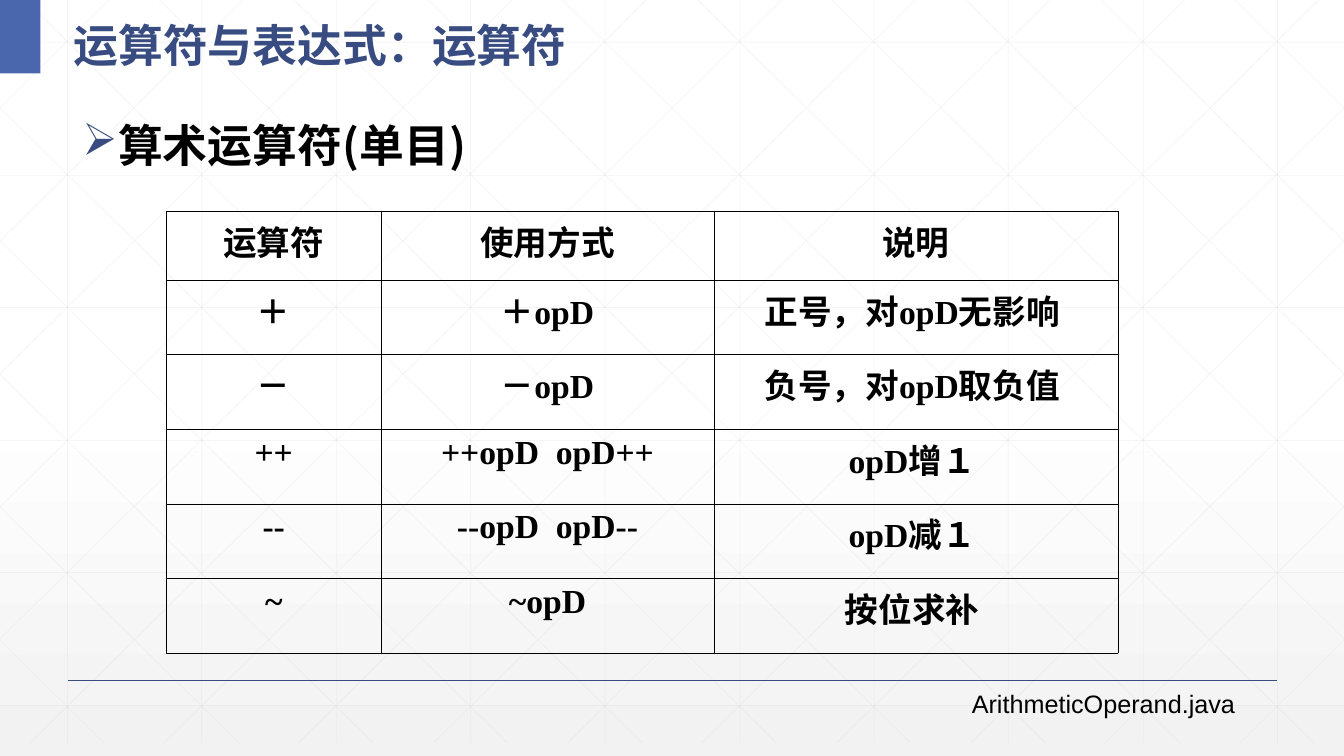
from lxml import etree
from pptx import Presentation
from pptx.dml.color import RGBColor
from pptx.enum.shapes import MSO_CONNECTOR, MSO_SHAPE
from pptx.enum.text import MSO_ANCHOR, PP_ALIGN
from pptx.oxml import parse_xml
from pptx.oxml.ns import nsdecls, qn
from pptx.util import Emu, Pt

STRAIGHT = MSO_CONNECTOR.STRAIGHT
RECTANGLE = MSO_SHAPE.RECTANGLE
CENTER = PP_ALIGN.CENTER
TOP, MIDDLE = MSO_ANCHOR.TOP, MSO_ANCHOR.MIDDLE

EMU_PER_PX = 9144
SLIDE_W, SLIDE_H = 1333, 750

BLACK = RGBColor(0x00, 0x00, 0x00)
NAVY = RGBColor(0x38, 0x4C, 0x81)
BLUE = RGBColor(0x4A, 0x66, 0xAC)
GRID_GREY = RGBColor(0xD9, 0xD9, 0xD9)
WHITE = RGBColor(0xFF, 0xFF, 0xFF)
PALE_GREY = RGBColor(0xF2, 0xF2, 0xF2)

CJK_FONT = "Noto Sans CJK SC"
SERIF_FONT = "Times New Roman"
SANS_FONT = "Arial"

GRID_BOTTOM = 737
GRID_STEP_X, GRID_STEP_Y = 133.33, 131.6
DIAGONAL_RUN = 745
DIAGONAL_START = 25

COLUMN_WIDTHS = [213, 330, 401]
ROW_HEIGHTS = [68] + [74] * 5
OPERATORS = [
    ("运算符", "使用方式", "说明"),
    ("＋", "＋opD", "正号，对opD无影响 "),
    ("－", "－opD", "负号，对opD取负值 "),
    ("++", "++opD  opD++", "opD增１ "),
    ("--", "--opD  opD--", "opD减１ "),
    ("~", "~opD", "按位求补 "),
]


def px(length):
    return Emu(round(length) * EMU_PER_PX)


def style_paragraph(paragraph, size, color, font, bold=True):
    for run in paragraph.runs:
        run.font.size = Pt(size)
        run.font.bold = bold
        run.font.color.rgb = color
        run.font.name = font
        east_asian = etree.SubElement(run.font._element, qn("a:ea"))
        east_asian.set("typeface", CJK_FONT)


def add_line(slide, start, end, color, width, opacity=100):
    line = slide.shapes.add_connector(STRAIGHT, *map(px, start + end))
    line.line.color.rgb = color
    line.line.width = Pt(width)
    properties = line._element.spPr
    etree.SubElement(properties, qn("a:effectLst"))
    if opacity < 100:
        alpha = etree.SubElement(properties.find(".//" + qn("a:srgbClr")), qn("a:alpha"))
        alpha.set("val", str(opacity * 1000))


def add_text(slide, box, text, size, color, font, bold=True, wrap=True, anchor=TOP):
    frame = slide.shapes.add_textbox(*map(px, box)).text_frame
    frame.word_wrap = wrap
    frame.vertical_anchor = anchor
    paragraph = frame.paragraphs[0]
    paragraph.text = text
    style_paragraph(paragraph, size, color, font, bold)
    return paragraph


def add_arrow_bullet(paragraph, color, indent):
    properties = paragraph._p.get_or_add_pPr()
    properties.set("marL", str(px(indent)))
    properties.set("indent", str(-px(indent)))
    bullet_color = etree.SubElement(properties, qn("a:buClr"))
    etree.SubElement(bullet_color, qn("a:srgbClr")).set("val", str(color))
    etree.SubElement(properties, qn("a:buChar")).set("char", "➢")


def fill_background(slide):
    fill = slide.background.fill
    fill.gradient()
    fill.gradient_angle = 270
    stops = "".join(
        f'<a:gs pos="{position * 1000}"><a:srgbClr val="{color}"/></a:gs>'
        for position, color in ((0, WHITE), (53, WHITE), (100, PALE_GREY))
    )
    stop_list = slide._element.find(".//" + qn("a:gsLst"))
    new_list = parse_xml(f'<a:gsLst {nsdecls("a")}>{stops}</a:gsLst>')
    stop_list.getparent().replace(stop_list, new_list)


def clipped_diagonal(top_x):
    """Ends of a falling diagonal, cut at the left and right slide edges."""
    slope = GRID_BOTTOM / DIAGONAL_RUN
    left, right = max(top_x, 0), min(top_x + DIAGONAL_RUN, SLIDE_W)
    return (left, (left - top_x) * slope), (right, (right - top_x) * slope)


def add_grid(slide):
    segments = []
    for column in range(10):
        x = 67 + column * GRID_STEP_X
        segments.append(((x, 0), (x, GRID_BOTTOM)))
    for row in range(6):
        y = 42 + row * GRID_STEP_Y
        segments.append(((0, y), (SLIDE_W, y)))
    for step in range(-5, 10):
        start, end = clipped_diagonal(DIAGONAL_START + step * GRID_STEP_X)
        mirrored = tuple((SLIDE_W - x, y) for x, y in (start, end))
        segments += [(start, end), mirrored]
    for start, end in segments:
        add_line(slide, start, end, GRID_GREY, 0.5, opacity=25)


def add_cell_borders(cell, color, width):
    properties = cell._tc.get_or_add_tcPr()
    for position, side in enumerate(("lnL", "lnR", "lnT", "lnB")):
        properties.insert(position, parse_xml(
            f'<a:{side} {nsdecls("a")} w="{Pt(width)}"><a:solidFill>'
            f'<a:srgbClr val="{color}"/></a:solidFill></a:{side}>'
        ))


def add_operator_table(slide, left, top):
    table = slide.shapes.add_table(
        len(ROW_HEIGHTS), len(COLUMN_WIDTHS), px(left), px(top),
        px(sum(COLUMN_WIDTHS)), px(sum(ROW_HEIGHTS)),
    ).table
    table.first_row = table.horz_banding = False
    for column, width in zip(table.columns, COLUMN_WIDTHS):
        column.width = px(width)
    for row_index, (row, height) in enumerate(zip(table.rows, ROW_HEIGHTS)):
        row.height = px(height)
        font = SERIF_FONT if row_index else CJK_FONT
        for cell, text in zip(row.cells, OPERATORS[row_index]):
            cell.fill.background()
            add_cell_borders(cell, BLACK, 0.5)
            paragraph = cell.text_frame.paragraphs[0]
            paragraph.text = text
            paragraph.alignment = CENTER
            paragraph.space_before = Pt(5)
            style_paragraph(paragraph, 24, BLACK, font)


def add_corner_block(slide):
    block = slide.shapes.add_shape(RECTANGLE, px(0), px(0), px(40), px(73))
    block.shadow.inherit = False
    block.fill.solid()
    block.fill.fore_color.rgb = BLUE
    block.line.fill.background()


def main():
    presentation = Presentation()
    presentation.slide_width, presentation.slide_height = px(SLIDE_W), px(SLIDE_H)
    slide = presentation.slides.add_slide(presentation.slide_layouts[6])

    fill_background(slide)
    add_grid(slide)
    add_line(slide, (67, 675), (1267, 675), NAVY, 1)
    add_corner_block(slide)

    title = add_text(slide, (63, 0, 569, 73), "运算符与表达式：运算符",
                     32, NAVY, CJK_FONT, anchor=MIDDLE)
    title.line_spacing = 1.3
    topic = add_text(slide, (72, 112, 1174, 552), "算术运算符(单目)", 32, BLACK, CJK_FONT)
    topic.space_before = Pt(18)
    add_arrow_bullet(topic, NAVY, 25)

    add_operator_table(slide, 165, 210)
    add_text(slide, (954, 678, 310, 40), "ArithmeticOperand.java",
             18, BLACK, SANS_FONT, bold=False, wrap=False)
    presentation.save("out.pptx")


if __name__ == "__main__":
    main()
